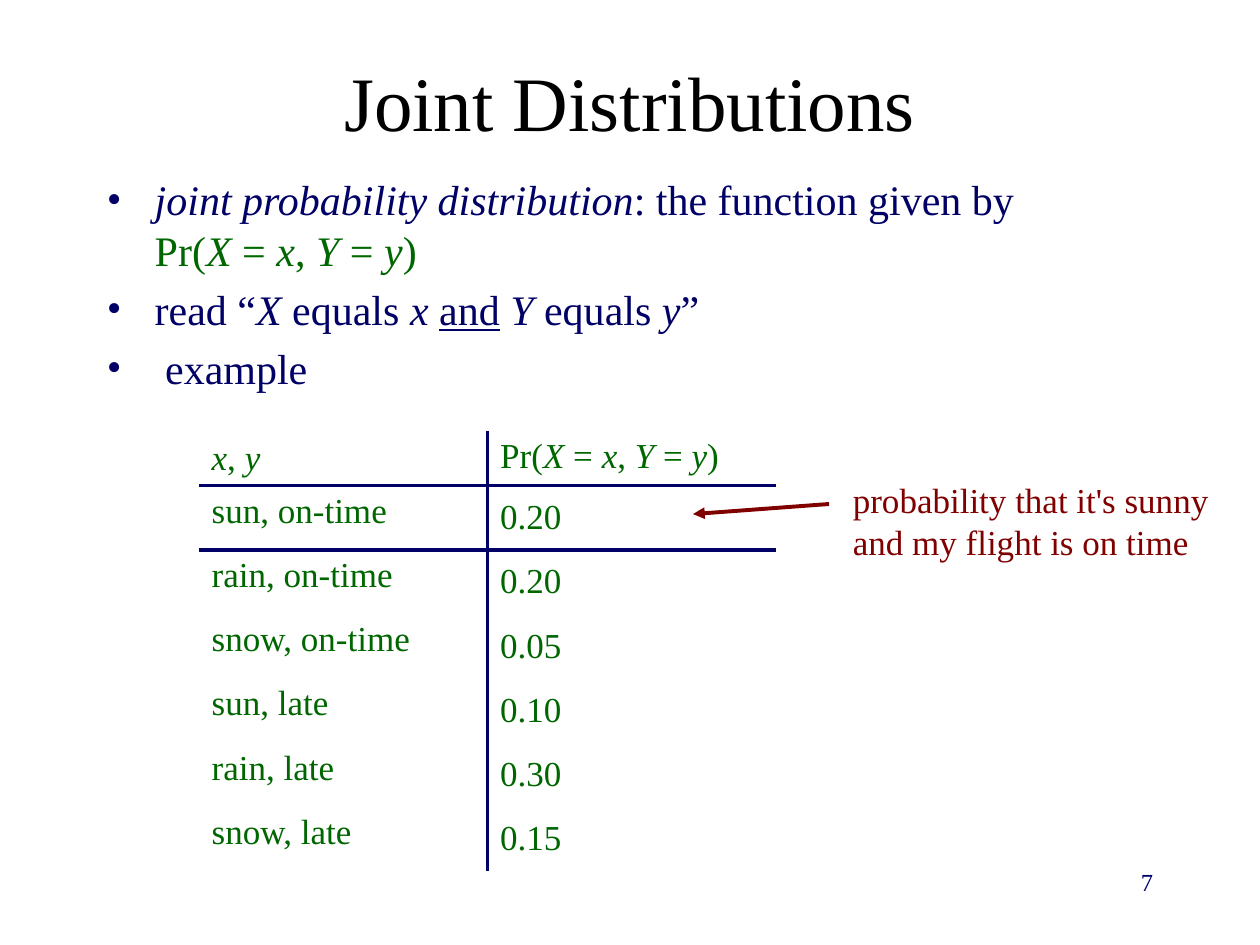
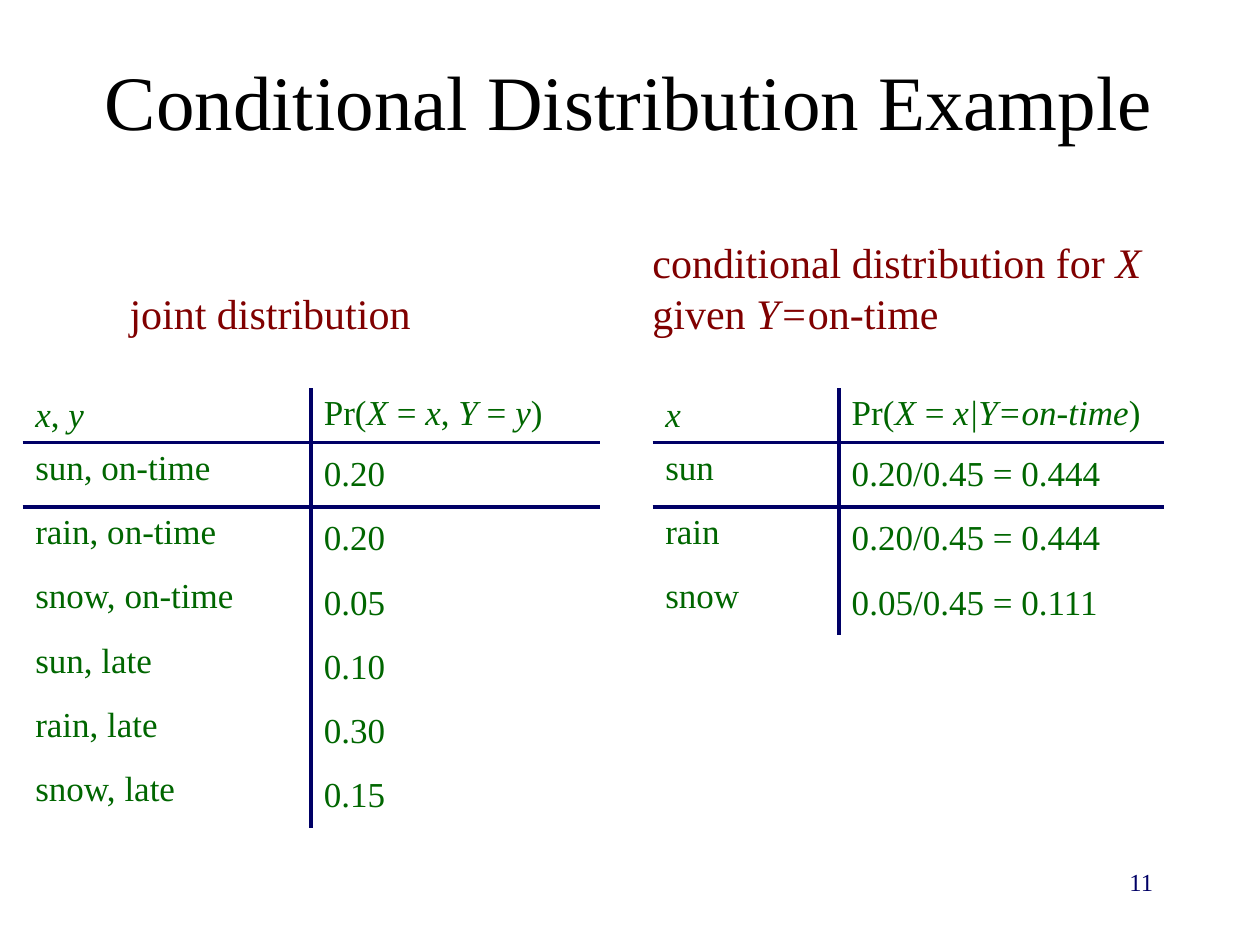
from dataclasses import dataclass

from lxml import etree
from pptx import Presentation
from pptx import util as u
from pptx.dml.color import RGBColor
from pptx.enum import shapes, text
from pptx.oxml import ns
from pptx.slide import Slide
from pptx.table import _Cell
from pptx.text.text import TextFrame, _Paragraph

FONT = "Times New Roman"
BLACK, NAVY, GREEN, MAROON = "000000", "000066", "006600", "800000"
PLAIN_TABLE = "{2D5ABB26-0587-4C30-8999-92F81FD0307C}"
RULE_WIDTH = u.Pt(2.25)
HEADER_HEIGHT, ROW_HEIGHT = 0.43, 0.51
JOINT_HEADER = "Pr(*X* = *x*, *Y* = *y*)"


@dataclass
class Box:
    left: float
    top: float
    width: float
    height: float

    def lengths(self) -> list[u.Length]:
        return [u.Inches(side) for side in (self.left, self.top, self.width, self.height)]


@dataclass
class Distribution:
    columns: tuple[float, float]
    header: tuple[str, str]
    rows: list[tuple[str, str]]


@dataclass
class Piece:
    words: str
    color: str = NAVY
    underline: bool = False
    new_line: bool = False


JOINT = Distribution(
    (2.29, 2.29),
    ("*x*, *y*", JOINT_HEADER),
    [
        ("sun, on-time", "0.20"),
        ("rain, on-time", "0.20"),
        ("snow, on-time", "0.05"),
        ("sun, late", "0.10"),
        ("rain, late", "0.30"),
        ("snow, late", "0.15"),
    ],
)
CONDITIONAL = Distribution(
    (1.48, 2.58),
    ("*x*", "Pr(*X* = *x|Y=on-time*)"),
    [
        ("sun", "0.20/0.45 = 0.444"),
        ("rain", "0.20/0.45 = 0.444"),
        ("snow", "0.05/0.45 = 0.111"),
    ],
)
DEFINITION = [
    [
        Piece("*joint probability distribution*: the function given by"),
        Piece("Pr(*X *= *x*, *Y *= *y*)", GREEN, new_line=True),
    ],
    [
        Piece("read “*X* equals *x *"),
        Piece("and", underline=True),
        Piece(" *Y* equals *y*”"),
    ],
    [Piece(" example")],
]


def rgb(color: str) -> RGBColor:
    return RGBColor.from_string(color)


def write(para: _Paragraph, words: str, *, size: float, color: str, underline: bool = False) -> None:
    """Write words into a paragraph; asterisks enclose italics."""
    for index, part in enumerate(words.split("*")):
        if part:
            span = para.add_run()
            span.text = part
            font = span.font
            font.name, font.size = FONT, u.Pt(size)
            font.italic = index % 2 == 1
            font.underline = underline
            font.color.rgb = rgb(color)


def add_frame(page: Slide, box: Box, wrap: bool = True) -> TextFrame:
    frame = page.shapes.add_textbox(*box.lengths()).text_frame
    frame.word_wrap = wrap
    return frame


def add_text(page: Slide, box: Box, lines: list[str], *, size: float, color: str,
             align: text.PP_ALIGN = text.PP_ALIGN.LEFT,
             anchor: text.MSO_ANCHOR = text.MSO_ANCHOR.TOP, wrap: bool = True) -> None:
    frame = add_frame(page, box, wrap)
    frame.vertical_anchor = anchor
    if not wrap:
        frame.auto_size = text.MSO_AUTO_SIZE.SHAPE_TO_FIT_TEXT
    for index, line in enumerate(lines):
        para = frame.add_paragraph() if index else frame.paragraphs[0]
        para.alignment = align
        write(para, line, size=size, color=color)


def add_note(page: Slide, box: Box, lines: list[str], size: float) -> None:
    add_text(page, box, lines, size=size, color=MAROON, wrap=False)


def add_bullets(page: Slide, box: Box, items: list[list[Piece]]) -> None:
    frame = add_frame(page, box)
    for index, item in enumerate(items):
        para = frame.add_paragraph() if index else frame.paragraphs[0]
        para.space_before = u.Pt(5)
        props = para._p.get_or_add_pPr()
        props.set("marL", str(u.Inches(0.38)))
        props.set("indent", str(-u.Inches(0.38)))
        etree.SubElement(props, ns.qn("a:buFont"), typeface=FONT)
        etree.SubElement(props, ns.qn("a:buChar"), char="•")
        for piece in item:
            if piece.new_line:
                para.add_line_break()
            write(para, piece.words, size=24, color=piece.color, underline=piece.underline)


def add_borders(cell: _Cell, sides: str) -> None:
    props = cell._tc.get_or_add_tcPr()
    for side in sides:
        line = etree.SubElement(props, ns.qn(f"a:ln{side}"), w=str(RULE_WIDTH))
        fill = etree.SubElement(line, ns.qn("a:solidFill"))
        etree.SubElement(fill, ns.qn("a:srgbClr"), val=NAVY)


def add_distribution(page: Slide, left: float, top: float, data: Distribution) -> None:
    rows = [data.header, *data.rows]
    box = Box(left, top, sum(data.columns), HEADER_HEIGHT + ROW_HEIGHT * len(data.rows))
    table = page.shapes.add_table(len(rows), 2, *box.lengths()).table
    table.first_row = table.horz_banding = False
    table._tbl.tblPr.find(ns.qn("a:tableStyleId")).text = PLAIN_TABLE
    for column, width in zip(table.columns, data.columns):
        column.width = u.Inches(width)
    for y, words in enumerate(rows):
        table.rows[y].height = u.Inches(ROW_HEIGHT if y else HEADER_HEIGHT)
        for x, value in enumerate(words):
            cell = table.cell(y, x)
            middle = (x == 0) == (y == 0)
            cell.vertical_anchor = text.MSO_ANCHOR.MIDDLE if middle else text.MSO_ANCHOR.TOP
            add_borders(cell, "RL"[x] + {0: "B", 1: "T"}.get(y, ""))
            cell.fill.background()
            write(cell.text_frame.paragraphs[0], value, size=20, color=GREEN)


def add_arrow(page: Slide, start: tuple[float, float], end: tuple[float, float]) -> None:
    ends = [u.Inches(value) for value in (*start, *end)]
    arrow = page.shapes.add_connector(shapes.MSO_CONNECTOR.STRAIGHT, *ends)
    arrow.line.color.rgb = rgb(MAROON)
    arrow.line.width = RULE_WIDTH
    etree.SubElement(arrow.line._get_or_add_ln(), ns.qn("a:tailEnd"), type="triangle")
    etree.SubElement(arrow._element.spPr, ns.qn("a:effectLst"))


def add_page(deck: Presentation, title: str, title_box: Box, number: int) -> Slide:
    page = deck.slides.add_slide(deck.slide_layouts[6])
    add_text(page, title_box, [title], size=44, color=BLACK,
             align=text.PP_ALIGN.CENTER, anchor=text.MSO_ANCHOR.MIDDLE)
    add_text(page, Box(7.17, 6.83, 2.08, 0.5), [str(number)], size=14, color=NAVY,
             align=text.PP_ALIGN.RIGHT)
    return page


def main() -> None:
    deck = Presentation()
    deck.slide_width, deck.slide_height = u.Inches(10), u.Inches(7.5)

    page = add_page(deck, "Joint Distributions", Box(0.75, 0.17, 8.5, 1.25), 7)
    add_bullets(page, Box(0.75, 1.33, 8.5, 4.5), DEFINITION)
    add_distribution(page, 1.58, 3.42, JOINT)
    add_note(page, Box(6.67, 3.75, 3.13, 0.77),
             ["probability that it's sunny", "and my flight is on time"], 20)
    add_arrow(page, (6.58, 4), (5.5, 4.08))

    page = add_page(deck, "Conditional Distribution Example", Box(0.58, 0.33, 8.83, 0.92), 11)
    add_distribution(page, 0.18, 3.08, JOINT)
    add_distribution(page, 5.18, 3.08, CONDITIONAL)
    add_note(page, Box(0.93, 2.23, 2.43, 0.5), ["joint distribution"], 24)
    add_note(page, Box(5.08, 1.83, 4.16, 0.9),
             ["conditional distribution for *X*", "given* Y=*on-time"], 24)

    deck.save("out.pptx")


if __name__ == "__main__":
    main()
